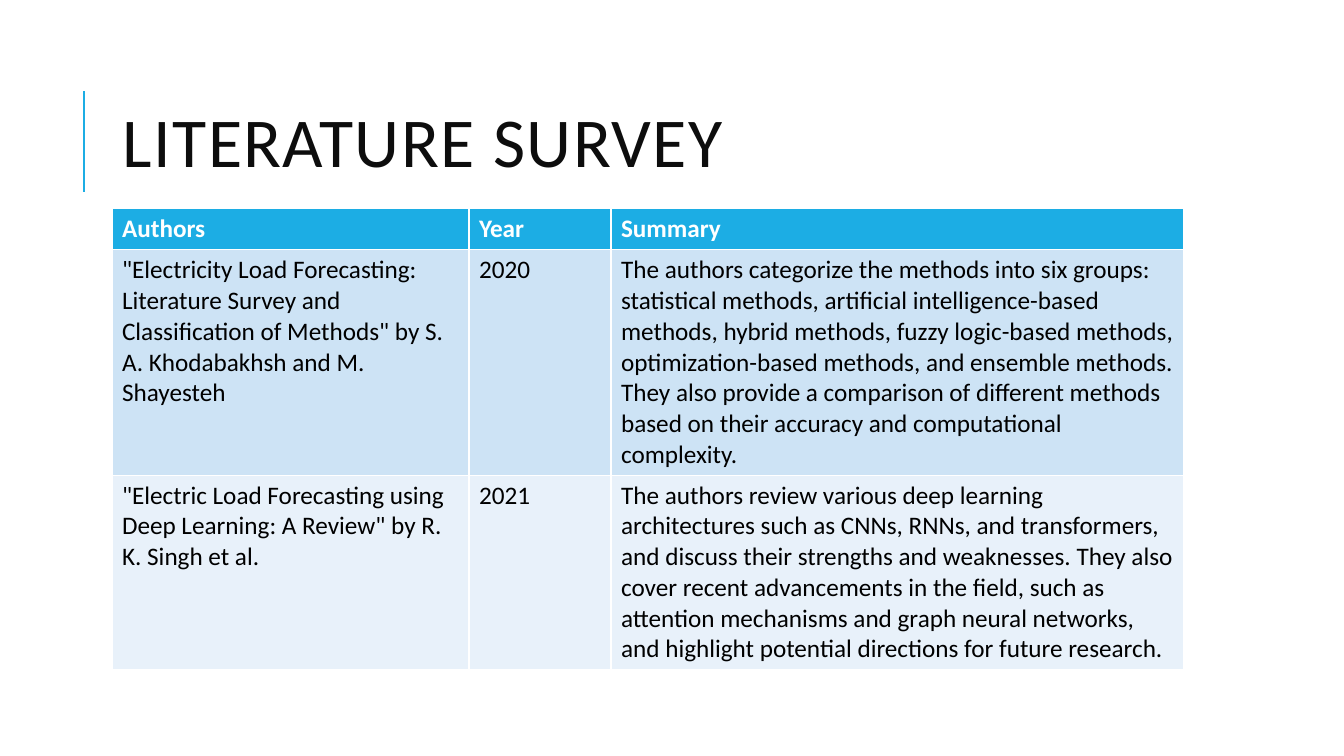
from pptx import Presentation
from pptx.dml.color import RGBColor
from pptx.enum import shapes, text
from pptx.oxml.ns import qn
from pptx.util import Pt

COLORS = {
    "accent": "1CADE4",
    "title": "0D0D0D",
    "header_text": "FFFFFF",
    "body_text": "000000",
    "dark_band": "CDE3F5",
    "light_band": "E8F1FA",
}
FONT = "Calibri"


def color(name):
    return RGBColor.from_string(COLORS[name])


def style_text(para, size, color_name, bold=False):
    for span in para.runs:
        span.font.name = FONT
        span.font.size = Pt(size)
        span.font.bold = bold
        span.font.color.rgb = color(color_name)


deck = Presentation()
deck.slide_width = Pt(960)
deck.slide_height = Pt(540)
page = deck.slides.add_slide(deck.slide_layouts[5])

rule = page.shapes.add_connector(
    shapes.MSO_CONNECTOR.STRAIGHT, Pt(60), Pt(137), Pt(60), Pt(65)
)
rule.line.color.rgb = color("accent")
rule.line.width = Pt(1.5)
properties = rule._element.spPr
properties.append(properties.makeelement(qn("a:effectLst"), {}))

title = page.shapes.title
title.left, title.top, title.width, title.height = Pt(80.5), Pt(46), Pt(765.5), Pt(118)
title.text_frame.text = "LITERATURE SURVEY"
title.text_frame.word_wrap = True
title.text_frame.auto_size = text.MSO_AUTO_SIZE.NONE
title.text_frame.vertical_anchor = text.MSO_ANCHOR.MIDDLE
para = title.text_frame.paragraphs[0]
para.alignment = text.PP_ALIGN.LEFT
para.line_spacing = 0.8
style_text(para, 50, "title")
para.runs[0]._r.get_or_add_rPr().set("spc", "100")

survey = [
    ("Authors", "Year", "Summary"),
    (
        '"Electricity Load Forecasting: Literature Survey and Classification of '
        'Methods" by S. A. Khodabakhsh and M. Shayesteh',
        "2020",
        "The authors categorize the methods into six groups: statistical methods, "
        "artificial intelligence-based methods, hybrid methods, fuzzy logic-based "
        "methods, optimization-based methods, and ensemble methods. They also provide "
        "a comparison of different methods based on their accuracy and computational "
        "complexity.",
    ),
    (
        '"Electric Load Forecasting using Deep Learning: A Review" by R. K. Singh et al.',
        "2021",
        "The authors review various deep learning architectures such as CNNs, RNNs, "
        "and transformers, and discuss their strengths and weaknesses. They also cover "
        "recent advancements in the field, such as attention mechanisms and graph "
        "neural networks, and highlight potential directions for future research.",
    ),
]
column_widths = [255, 101.5, 409]
row_heights = [29.2, 161, 139]
row_fills = ["accent", "dark_band", "light_band"]

table = page.shapes.add_table(
    len(survey), len(column_widths),
    Pt(80), Pt(149.2), Pt(sum(column_widths)), Pt(sum(row_heights)),
).table
for column, width in zip(table.columns, column_widths):
    column.width = Pt(width)

for row, height, fill, entries in zip(table.rows, row_heights, row_fills, survey):
    row.height = Pt(height)
    is_header = fill == "accent"
    for cell, entry in zip(row.cells, entries):
        cell.text_frame.text = entry
        cell.fill.solid()
        cell.fill.fore_color.rgb = color(fill)
        style_text(
            cell.text_frame.paragraphs[0], 18,
            "header_text" if is_header else "body_text", is_header,
        )

deck.save("out.pptx")
